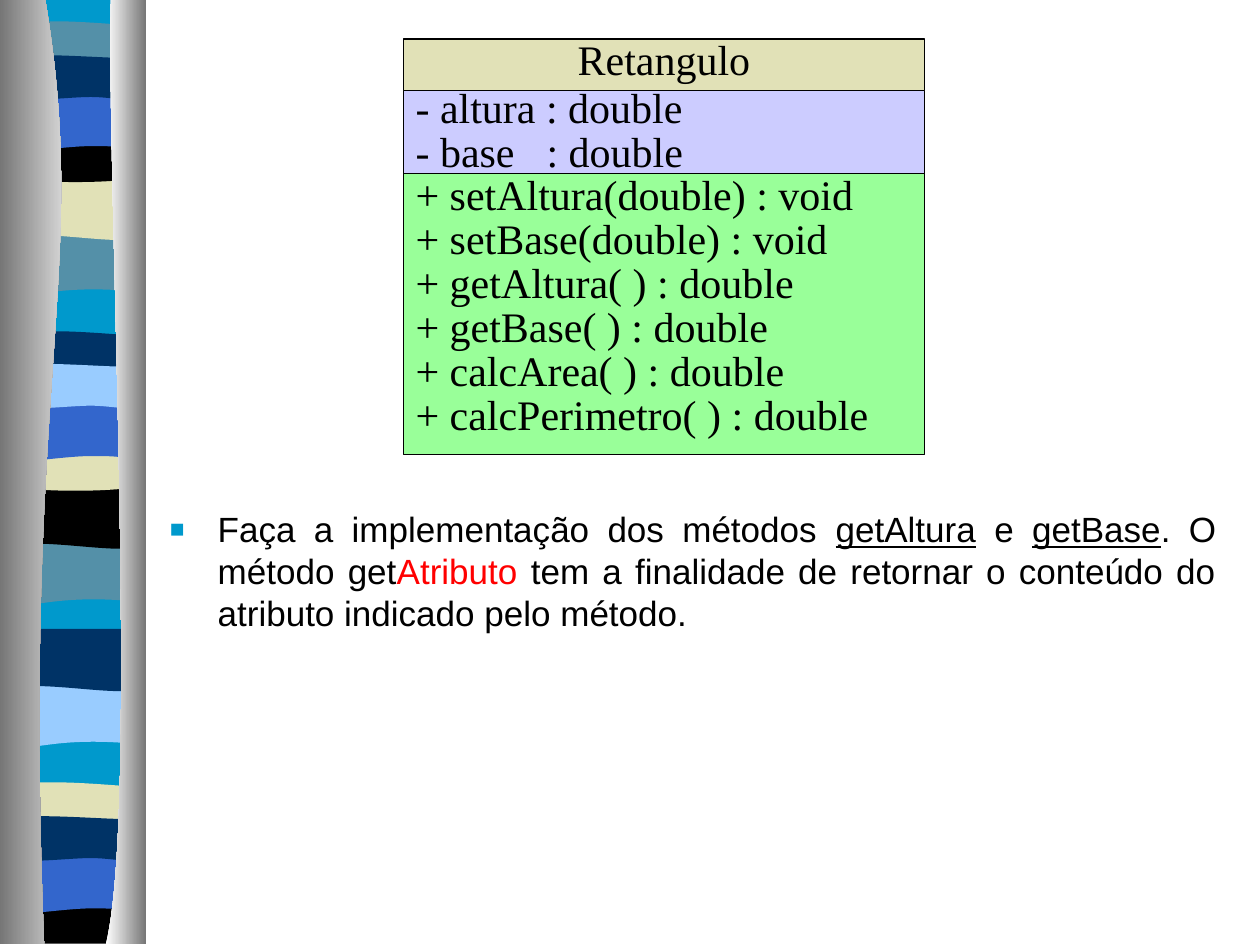
"""Build a slide with a class diagram, a task and a wavy side border."""
from lxml import etree
from pptx import Presentation
from pptx.dml.color import RGBColor
from pptx.enum.shapes import MSO_SHAPE
from pptx.enum.text import MSO_ANCHOR, PP_ALIGN
from pptx.oxml.ns import qn
from pptx.util import Inches, Pt

LEFT, MID, FULL = PP_ALIGN.LEFT, PP_ALIGN.CENTER, PP_ALIGN.JUSTIFY
TOP = MSO_ANCHOR.TOP
RECT = MSO_SHAPE.RECTANGLE
BLACK = RGBColor(0x00, 0x00, 0x00)
WHITE = RGBColor(0xFF, 0xFF, 0xFF)
RED = RGBColor(0xFF, 0x00, 0x00)
CYAN = RGBColor(0x00, 0x99, 0xCC)
STEEL = RGBColor(0x54, 0x90, 0xA8)
SAND = RGBColor(0xE1, 0xE1, 0xB7)
BLUE = RGBColor(0x33, 0x66, 0xCC)
NAVY = RGBColor(0x00, 0x33, 0x66)
SKY = RGBColor(0x99, 0xCC, 0xFF)
LILAC = RGBColor(0xCC, 0xCC, 0xFF)
GREEN = RGBColor(0x99, 0xFF, 0x99)
GREY = RGBColor(0x76, 0x76, 0x76)

WAVES = {
    "block": [(1.14, 0), (1.14, 7.47), (0.05, 7.47), (0.05, 0)],
    "dip": [(1.14, 0), (1.14, 0.47), (0.39, 0.39, 0.24, 0.55, 0.05, 0.47), (0.05, 0)],
    "roll": [(1.14, 0), (1.14, 0.47), (0.96, 0.55, 0.39, 0.41, 0.06, 0.47), (0.06, 0)],
    "crest": [(1.14, 0.05), (1.14, 0.29), (0.96, 0.34, 0.24, 0.34, 0.05, 0.29),
              (0.05, 0.05), (0.12, 0, 0.29, 0.01, 0.47, 0.01),
              (0.65, 0.01, 1, 0.04, 1.14, 0.05)],
    "bowl": [(1.14, 0), (1.14, 0.32), (0.96, 0.38, 0.24, 0.38, 0.05, 0.32),
             (0.05, 0), (0.71, 0.05, 0.9, 0, 1.14, 0)],
    "foot": [(1.14, 0), (1.14, 0.37), (0.05, 0.37), (0.05, 0),
             (0.71, 0.05, 0.9, 0, 1.14, 0)],
    "arch": [(1.14, 0), (1.14, 0.47), (0.97, 0.42, 0.9, 0.42, 0.72, 0.42),
             (0.54, 0.42, 0.22, 0.47, 0.05, 0.47), (0.05, 0)],
    "flag": [(1.14, 0.05), (1.14, 0.36), (1.07, 0.41, 0.9, 0.36, 0.72, 0.36),
             (0.54, 0.36, 0.17, 0.41, 0.05, 0.36), (0.05, 0.05),
             (0.21, 0, 0.79, 0.05, 0.97, 0.05), (1.15, 0.05, 1.1, 0.05, 1.14, 0.05)],
}
BANDS = [
    ("block", 0, CYAN),
    ("dip", 1.85, STEEL), ("roll", 1.41, SAND), ("crest", 0.16, STEEL),
    ("bowl", 1.08, BLACK), ("arch", 0.74, BLUE), ("flag", 0.41, NAVY),
    ("dip", 4.31, STEEL), ("roll", 3.86, BLACK), ("crest", 2.62, NAVY),
    ("bowl", 3.53, SAND), ("arch", 3.2, BLUE), ("flag", 2.86, SKY),
    ("dip", 5.44, SKY), ("roll", 4.99, NAVY), ("crest", 6.2, SAND),
    ("foot", 7.12, BLACK), ("arch", 6.79, BLUE), ("flag", 6.45, NAVY),
]
PANELS = [
    ([(0.36, 0), (0.72, 2.16, 0.17, 2.96, 0.35, 7.49), (0, 7.49), (0, 0)], GREY, WHITE),
    ([(0.88, 0), (0.84, 1.25, 1.11, 6.46, 0.84, 7.49), (1.16, 7.49), (1.16, 0)], WHITE, GREY),
]
BOXES = [
    (0.69, 1.19, LILAC, LEFT, ["- altura : double", "- base\t: double"]),
    (0.31, 0.41, SAND, MID, ["Retangulo"]),
    (1.38, 2.23, GREEN, LEFT, [
        "+ setAltura(double) : void", "+ setBase(double) : void",
        "+ getAltura( ) : double", "+ getBase( ) : double",
        "+ calcArea( ) : double", "+ calcPerimetro( ) : double"]),
]
TASK = [
    ("Faça a implementação dos métodos ", BLACK, False),
    ("getAltura", BLACK, True),
    (" e ", BLACK, False),
    ("getBase", BLACK, True),
    (". O método get", BLACK, False),
    ("Atributo ", RED, False),
    ("tem a finalidade de retornar o conteúdo do atributo indicado pelo método.", BLACK, False),
]


def add_free(shapes, parts, top=0):
    """Draw a closed outline of lines and cubic curves."""
    dots = [(Inches(part[i]), Inches(top + part[i + 1]))
            for part in parts for i in range(0, len(part), 2)]
    pen = shapes.build_freeform(*dots[0])
    pen.add_line_segments(dots[1:], close=True)
    shape = pen.convert_to_shape()
    lines = iter(list(shape._element.iter(qn("a:lnTo"))))
    for part in parts[1:]:
        line = next(lines)
        if len(part) == 6:
            line.addprevious(curve := etree.Element(qn("a:cubicBezTo")))
            for seg in (line, next(lines), next(lines)):
                curve.append(seg[0])
                seg.getparent().remove(seg)
    shape.shadow.inherit = False
    shape.line.fill.background()
    return shape


def add_side(slide):
    """Draw the bands and the shaded panels."""
    shapes = slide.shapes.add_group_shape().shapes
    for kind, top, tint in BANDS:
        fill = add_free(shapes, WAVES[kind], top).fill
        fill.solid()
        fill.fore_color.rgb = tint
    for parts, start, end in PANELS:
        fill = add_free(shapes, parts).fill
        fill.gradient()
        fill.gradient_angle = 0
        for stop, tint in zip(fill.gradient_stops, (start, end)):
            stop.color.rgb = tint


def add_run(para, text, face, size, tint=BLACK):
    """Add one styled run."""
    run = para.add_run()
    run.text = text
    run.font.name, run.font.size = face, Pt(size)
    run.font.color.rgb = tint
    return run


def add_box(shapes, top, high, tint, align, lines):
    """Draw one part of the class diagram."""
    box = shapes.add_shape(RECT, Inches(3.2), Inches(top), Inches(4.14), Inches(high))
    box.shadow.inherit = False
    box.fill.solid()
    box.fill.fore_color.rgb = tint
    box.line.color.rgb, box.line.width = BLACK, Pt(0.75)
    frame = box.text_frame
    frame.word_wrap, frame.vertical_anchor = True, TOP
    for i, line in enumerate(lines):
        para = frame.add_paragraph() if i else frame.paragraphs[0]
        para.alignment, para.line_spacing = align, 0.75
        if i:
            para.space_before = Pt(3.6)
        if "\t" in line:
            tabs = etree.SubElement(para._p.get_or_add_pPr(), qn("a:tabLst"))
            etree.SubElement(tabs, qn("a:tab"), pos=str(Inches(1.04)), algn="l")
        add_run(para, line, "Times New Roman", 24)


def add_task(shapes):
    """Write the bulleted task."""
    box = shapes.add_textbox(Inches(1.25), Inches(3.98), Inches(8.5), Inches(1.49))
    box.text_frame.word_wrap = True
    para = box.text_frame.paragraphs[0]
    para.alignment = FULL
    props = para._p.get_or_add_pPr()
    props.set("marL", str(Inches(0.38)))
    props.set("indent", str(-Inches(0.38)))
    tint = etree.SubElement(props, qn("a:buClr"))
    etree.SubElement(tint, qn("a:srgbClr"), val=str(CYAN))
    etree.SubElement(props, qn("a:buSzPct"), val="70000")
    etree.SubElement(props, qn("a:buFont"), typeface="Arial")
    etree.SubElement(props, qn("a:buChar"), char="■")
    for text, shade, under in TASK:
        run = add_run(para, text, "Arial", 20, shade)
        run.font.underline = under


def main():
    """Build and save the slide."""
    deck = Presentation()
    deck.slide_width, deck.slide_height = Inches(10), Inches(7.5)
    slide = deck.slides.add_slide(deck.slide_layouts[6])
    add_side(slide)
    add_task(slide.shapes)
    group = slide.shapes.add_group_shape().shapes
    for box in BOXES:
        add_box(group, *box)
    deck.save("out.pptx")


if __name__ == "__main__":
    main()
